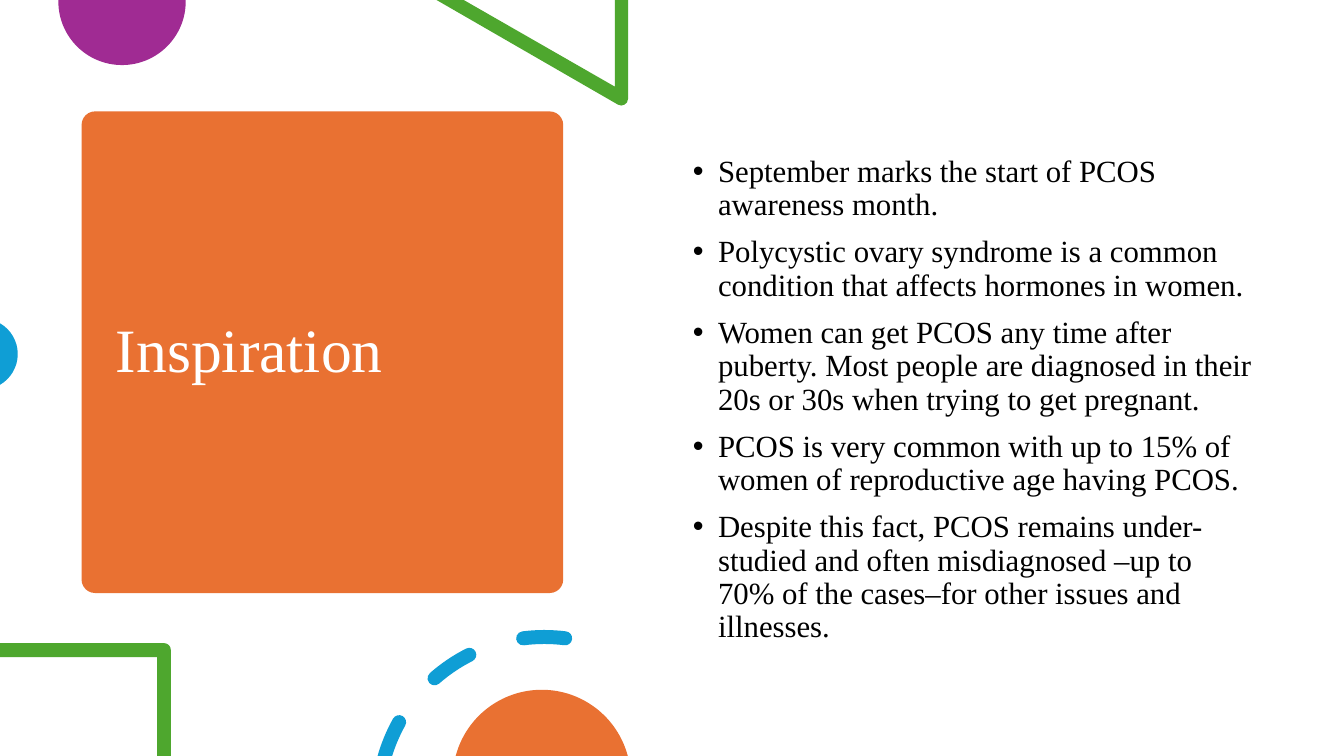
from math import asin, ceil, cos, degrees, radians, sin, tan

from lxml import etree
from pptx import Presentation
from pptx.dml.color import RGBColor
from pptx.enum.shapes import MSO_SHAPE as Preset
from pptx.enum.text import MSO_ANCHOR as Anchor, MSO_AUTO_SIZE as AutoSize, PP_ALIGN as Align
from pptx.oxml.ns import qn
from pptx.util import Pt

WIDTH, HEIGHT = 960, 540
TITLE_ONLY = 5

WHITE = RGBColor(0xFF, 0xFF, 0xFF)
BLACK = RGBColor(0x00, 0x00, 0x00)
ORANGE = RGBColor(0xE9, 0x71, 0x32)
PURPLE = RGBColor(0xA0, 0x2B, 0x93)
GREEN = RGBColor(0x4E, 0xA7, 0x2E)
BLUE = RGBColor(0x0F, 0x9E, 0xD5)

FACTS = [
    "September marks the start of PCOS awareness month.",
    "Polycystic ovary syndrome is a common condition that affects hormones in women.",
    "Women can get PCOS any time after puberty. Most people are diagnosed in their "
    "20s or 30s when trying to get pregnant.",
    "PCOS is very common with up to 15% of women of reproductive age having PCOS.",
    "Despite this fact, PCOS remains under-studied and often misdiagnosed –up to "
    "70% of the cases–for other issues and illnesses.",
]


def lines(*points):
    """Return straight segments, each a tuple of one point."""
    return [(point,) for point in points]


def arc(center_x, center_y, radius, start, end):
    """Return a line to the arc's start, then Bézier segments of three points.

    Angles are in degrees and run clockwise from the right.
    """
    count = ceil(abs(end - start) / 90)
    step = radians(end - start) / count
    reach = 4 / 3 * tan(step / 4)

    def spot(angle, pull=0):
        return (center_x + radius * (cos(angle) - pull * sin(angle)),
                center_y + radius * (sin(angle) + pull * cos(angle)))

    angles = [radians(start) + step * index for index in range(count + 1)]
    curves = [(spot(a, reach), spot(b, -reach), spot(b)) for a, b in zip(angles, angles[1:])]
    return lines(spot(angles[0])) + curves


def ring_dash(center_x, center_y, radius, half, start, end):
    """Return a curved dash with round ends, cut flat at the slide's bottom edge."""
    def middle(angle):
        return (center_x + radius * cos(radians(angle)),
                center_y + radius * sin(radians(angle)))

    def edge(ring):
        return max(start, 180 + degrees(asin((center_y - HEIGHT) / ring)))

    outer, inner = radius + half, radius - half
    dash = (arc(center_x, center_y, outer, edge(outer), end)
            + arc(*middle(end), half, end, end + 180)[1:]
            + arc(center_x, center_y, inner, end, edge(inner))[1:])
    if edge(inner) == start:
        dash += arc(*middle(start), half, start + 180, start + 360)[1:]
    return dash


def write(box, texts, size, color, font="Times New Roman", anchor=Anchor.TOP,
          before=0, bullet=None, indent=18):
    frame = box.text_frame
    frame.word_wrap = True
    frame.auto_size = AutoSize.NONE
    frame.vertical_anchor = anchor
    for index, text in enumerate(texts):
        para = frame.add_paragraph() if index else frame.paragraphs[0]
        para.alignment = Align.LEFT
        para.line_spacing = 0.9
        para.space_before = Pt(before)
        span = para.add_run()
        span.text = text
        span.font.name = font
        span.font.size = Pt(size)
        span.font.color.rgb = color
        if bullet:
            props = para._p.get_or_add_pPr()
            props.set("marL", str(Pt(indent)))
            props.set("indent", str(-Pt(indent)))
            etree.SubElement(props, qn("a:buFont")).set("typeface", "Arial")
            etree.SubElement(props, qn("a:buChar")).set("char", bullet)


class SlideBuilder:
    def __init__(self, page):
        self.page = page

    def paint(self, shape, color):
        shape.shadow.inherit = False
        shape.fill.solid()
        shape.fill.fore_color.rgb = color
        shape.line.fill.background()

    def title(self, text, left, top, width, height, **style):
        box = self.page.shapes.title
        box.left, box.top, box.width, box.height = map(Pt, (left, top, width, height))
        write(box, [text], **style)

    def panel(self, left, top, width, height, color, rounding):
        """Add a rounded panel behind the title."""
        box = self.page.shapes.add_shape(
            Preset.ROUNDED_RECTANGLE, *map(Pt, (left, top, width, height)))
        box.adjustments[0] = rounding
        self.paint(box, color)
        self.page.shapes.title.element.addprevious(box.element)

    def text(self, texts, left, top, width, height, **style):
        box = self.page.shapes.add_textbox(*map(Pt, (left, top, width, height)))
        write(box, texts, **style)

    def outline(self, color, *contours):
        """Add one filled shape; segments of three points become Bézier curves."""
        builder = None
        for contour in contours:
            start, *corners = [(Pt(x), Pt(y)) for segment in contour for x, y in segment]
            if builder is None:
                builder = self.page.shapes.build_freeform(*start, scale=1.0)
            else:
                builder.move_to(*start)
            builder.add_line_segments(corners, close=True)
        shape = builder.convert_to_shape()
        steps = iter(list(shape.element.iter(qn("a:lnTo"))))
        for segment in (segment for contour in contours for segment in contour[1:]):
            first, *others = [next(steps) for point in segment]
            if others:
                curve = etree.Element(qn("a:cubicBezTo"))
                first.addprevious(curve)
                for step in (first, *others):
                    curve.append(step[0])
                    step.getparent().remove(step)
        self.paint(shape, color)


def main():
    deck = Presentation()
    deck.slide_width, deck.slide_height = Pt(WIDTH), Pt(HEIGHT)
    page = deck.slides.add_slide(deck.slide_layouts[TITLE_ONLY])
    slide = SlideBuilder(page)

    slide.panel(58.3, 79.6, 344, 344, ORANGE, rounding=0.028)
    slide.title("Inspiration", 75.6, 87.8, 310.3, 328.3,
                size=44, color=WHITE, anchor=Anchor.MIDDLE)

    slide.outline(PURPLE, lines((132.7, 0), (41.7, 0)) + arc(87.2, 1, 45.5, 180, 0))
    slide.outline(GREEN, lines((448.6, 0), (439.2, 0), (439.2, 61.9), (331.2, 0), (311.8, 0))
                  + arc(443.8, 70.6, 4.8, 120, 0))
    slide.outline(BLUE, arc(-12.7, 252.9, 25.4, -60, 60))

    slide.text(FACTS, 487.8, 107.8, 414, 385.2,
               size=22, color=BLACK, before=10, bullet="•")

    slide.outline(GREEN, lines((122, HEIGHT), (112.3, HEIGHT), (112.3, 469.4),
                               (0, 469.4), (0, 459.4)) + arc(117.3, 464.1, 4.7, 270, 360))
    dash_starts = [262.7 - 34 * index for index in range(3)]
    slide.outline(BLUE, *(ring_dash(388.8, 573.8, 118.8, 5, start, start + 14.5)
                          for start in dash_starts))
    slide.outline(ORANGE, arc(387, 556.3, 63.6, 194.9, 345.1))

    deck.save("out.pptx")


if __name__ == "__main__":
    main()
